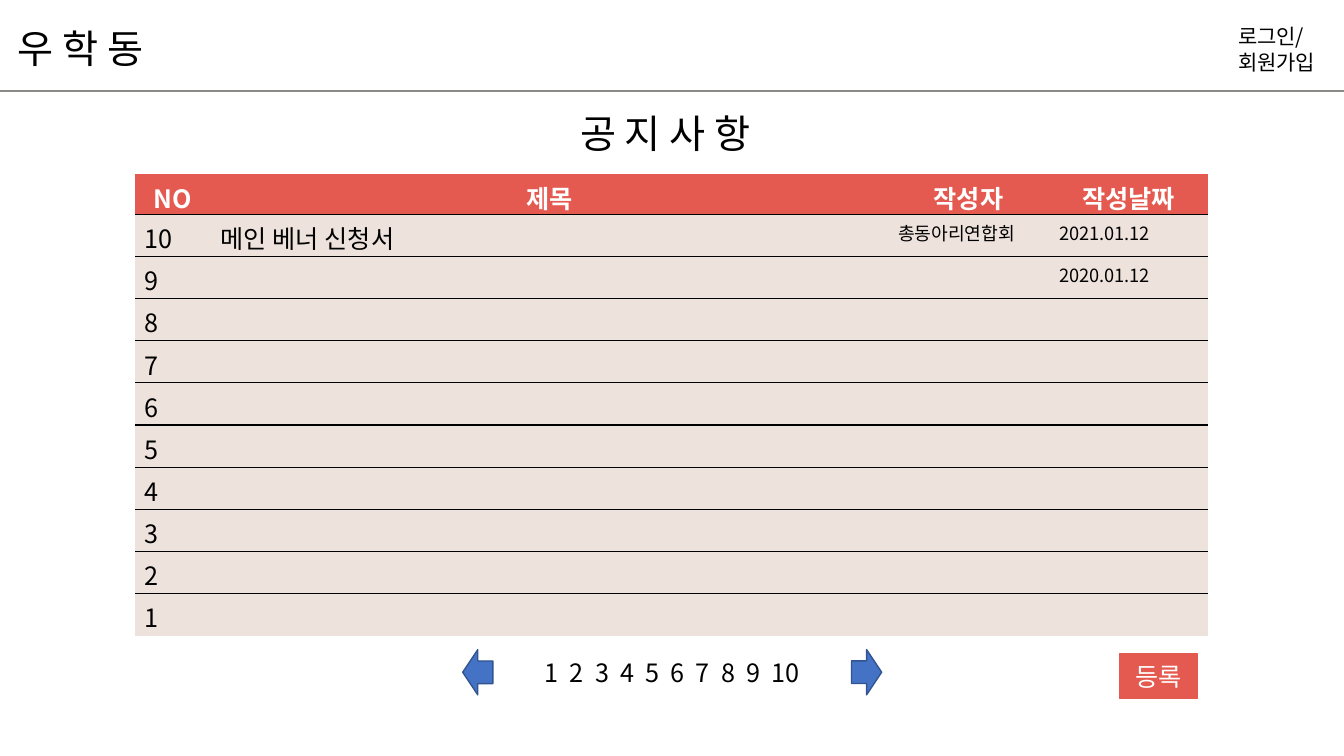
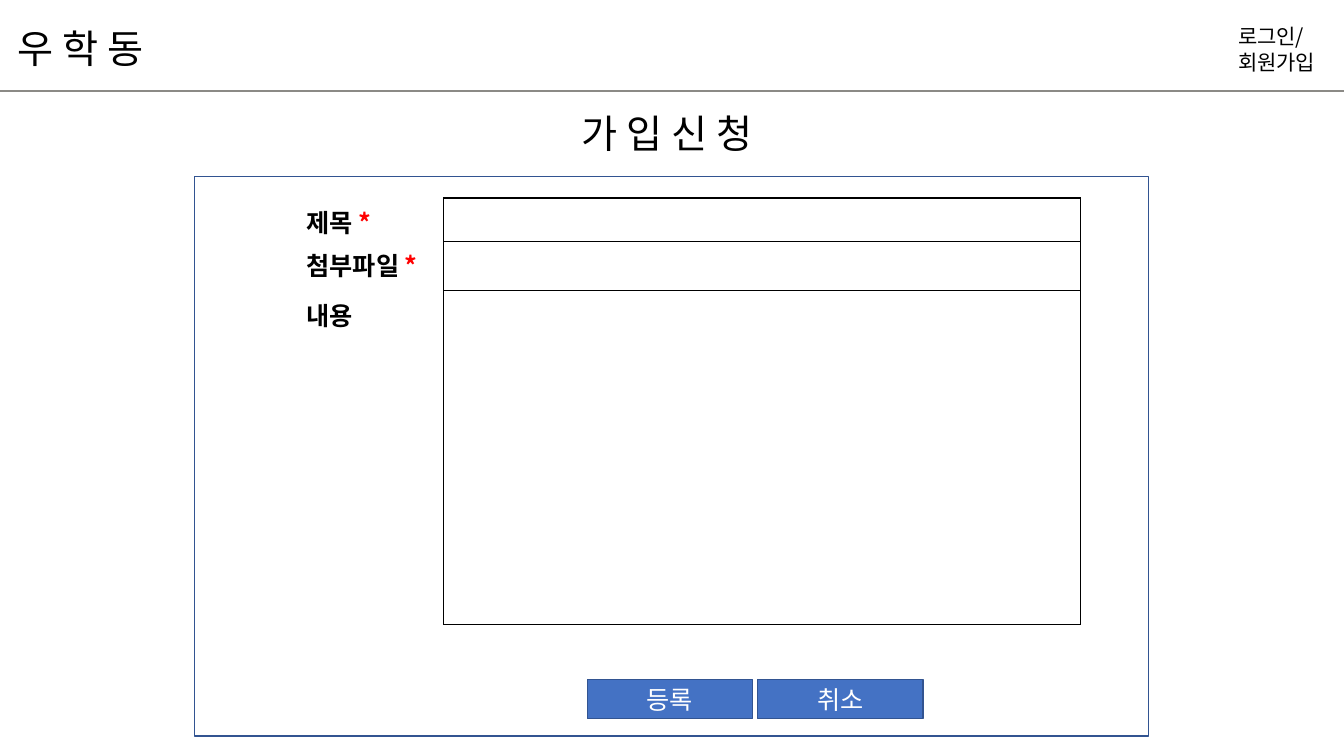
from dataclasses import dataclass

from lxml import etree
from pptx import Presentation
from pptx.dml.color import RGBColor
from pptx.enum.shapes import MSO_CONNECTOR, MSO_SHAPE
from pptx.enum.text import MSO_ANCHOR, MSO_AUTO_SIZE, PP_ALIGN
from pptx.oxml.ns import qn
from pptx.util import Cm, Pt

STRAIGHT = MSO_CONNECTOR.STRAIGHT
RECTANGLE = MSO_SHAPE.RECTANGLE
RIGHT_ARROW = MSO_SHAPE.RIGHT_ARROW
MIDDLE = MSO_ANCHOR.MIDDLE
TOP = MSO_ANCHOR.TOP
GROW = MSO_AUTO_SIZE.SHAPE_TO_FIT_TEXT
FIXED = MSO_AUTO_SIZE.NONE
LEFT = PP_ALIGN.LEFT
CENTER = PP_ALIGN.CENTER
PLAIN_TABLE = "{2D5ABB26-0587-4C30-8999-92F81FD0307C}"


@dataclass(frozen=True)
class Theme:
    font: str = "Noto Sans CJK KR"
    black: str = "000000"
    white: str = "FFFFFF"
    required: str = "FF0000"
    rule: str = "8B8A86"
    coral: str = "E55A50"
    sand: str = "EEE2DC"
    blue: str = "4472C4"
    navy: str = "325491"
    heading: float = 28
    body: float = 18
    login: float = 15
    small: float = 13
    thin: float = 1
    thick: float = 1.5


@dataclass(frozen=True)
class Box:
    left: float
    top: float
    width: float
    height: float

    def inner(self, left, top, width, height):
        return Box(self.left + left, self.top + top, width, height)

    def lengths(self):
        return [Cm(value) for value in (self.left, self.top, self.width, self.height)]


THEME = Theme()
PAGE = Box(0, 0, 33.87, 19.05)


def apply_format(target, values):
    for name, value in values.items():
        setattr(target, name, value)


def add_run(paragraph, text, size=THEME.body, color=THEME.black, bold=False):
    run = paragraph.add_run()
    run.text = text
    apply_format(run.font, {"name": THEME.font, "size": Pt(size), "bold": bold})
    run.font.color.rgb = RGBColor.from_string(color)
    properties = run.font._element
    etree.SubElement(properties, qn("a:ea"), typeface=THEME.font)
    return run


def add_text(slide, box, lines, size, **frame_format):
    frame = slide.shapes.add_textbox(*box.lengths()).text_frame
    apply_format(frame, {"word_wrap": True, "auto_size": GROW,
                         "vertical_anchor": TOP, **frame_format})
    for index, line in enumerate(lines):
        paragraph = frame.add_paragraph() if index else frame.paragraphs[0]
        add_run(paragraph, line, size)
    return frame


def add_block(slide, kind, box, fill, line):
    shape = slide.shapes.add_shape(kind, *box.lengths())
    shape.shadow.inherit = False
    if fill:
        shape.fill.solid()
        shape.fill.fore_color.rgb = RGBColor.from_string(fill)
    else:
        shape.fill.background()
    shape.line.color.rgb = RGBColor.from_string(line)
    shape.line.width = Pt(THEME.thin)
    return shape


def add_button(slide, box, label, fill, line):
    frame = add_block(slide, RECTANGLE, box, fill, line).text_frame
    frame.vertical_anchor = MIDDLE
    frame.paragraphs[0].alignment = CENTER
    add_run(frame.paragraphs[0], label, color=THEME.white)


def add_plain_table(slide, box, columns, rows):
    table = slide.shapes.add_table(len(rows), len(columns), *box.lengths()).table
    apply_format(table, {"first_row": False, "horz_banding": False})
    table._tbl.tblPr.find(qn("a:tableStyleId")).text = PLAIN_TABLE
    for column, width in zip(table.columns, columns):
        column.width = Cm(width)
    for row, height in zip(table.rows, rows):
        row.height = Cm(height)
    return table


def style_cell(cell, fill, sides):
    properties = cell._tc.get_or_add_tcPr()
    for side in sides:
        line = etree.SubElement(properties, qn(f"a:ln{side}"), w=str(Pt(THEME.thin)))
        solid = etree.SubElement(line, qn("a:solidFill"))
        etree.SubElement(solid, qn("a:srgbClr"), val=THEME.black)
    cell.margin_bottom = 0
    cell.fill.solid()
    cell.fill.fore_color.rgb = RGBColor.from_string(fill)


def add_header(slide, box, title, title_width):
    bottom = Cm(box.top + box.height)
    rule = slide.shapes.add_connector(
        STRAIGHT, Cm(box.left), bottom, Cm(box.left + box.width), bottom)
    rule.line.color.rgb = RGBColor.from_string(THEME.rule)
    rule.line.width = Pt(THEME.thick)
    etree.SubElement(rule._element.spPr, qn("a:effectLst"))
    login_width = 2.92
    add_text(slide, box.inner(box.width - login_width, 0.48, login_width, 1.55),
             ["로그인/", "회원가입"], THEME.login)
    add_text(slide, box.inner(0.2, 0.48, 4.37, 1.45), ["우 학 동"], THEME.heading)
    add_text(slide, box.inner((box.width - title_width) / 2, 2.64, title_width, 1.45),
             [title], THEME.heading)


def add_notice_table(slide, box):
    headings = ["NO", "제목", "작성자", "작성날짜"]
    posts = {10: ["메인 베너 신청서", "총동아리연합회", "2021.01.12"],
             9: ["", "", "2020.01.12"]}
    records = [headings] + [[str(number)] + posts.get(number, [""] * 3)
                            for number in range(10, 0, -1)]
    header_height = 1.02
    row_height = (box.height - header_height) / 10
    table = add_plain_table(slide, box, [1.91, 17.07, 4.06, 4.01],
                            [header_height] + [row_height] * 10)
    for row, record in enumerate(records):
        is_header = row == 0
        sides = ("T" if row else "") + ("B" if row < len(records) - 1 else "")
        for column, text in enumerate(record):
            cell = table.cell(row, column)
            style_cell(cell, THEME.coral if is_header else THEME.sand, sides)
            paragraph = cell.text_frame.paragraphs[0]
            paragraph.alignment = CENTER if is_header else LEFT
            if text:
                add_run(paragraph, text,
                        THEME.body if is_header or column < 2 else THEME.small,
                        THEME.white if is_header else THEME.black, is_header)


def add_pager(slide, box):
    arrow_width, arrow_height, inset = 0.76, 1.14, 0.89
    numbers = add_text(slide, box.inner(inset, 0, box.width - 2 * inset, box.height),
                       [], THEME.body, auto_size=FIXED, vertical_anchor=MIDDLE)
    paragraph = numbers.paragraphs[0]
    paragraph.alignment = CENTER
    for number in range(1, 11):
        if number > 1:
            add_run(paragraph, " ").font._element.set("spc", "400")
        add_run(paragraph, str(number))
    for left, rotation in ((box.width - arrow_width, 0), (0, 180)):
        arrow_box = box.inner(left, (box.height - arrow_height) / 2,
                              arrow_width, arrow_height)
        arrow = add_block(slide, RIGHT_ARROW, arrow_box, THEME.blue, THEME.navy)
        arrow.rotation = rotation


def add_form(slide, box):
    fields = [("제목", True, 1.09), ("첨부파일", True, 1.25), ("내용", False, 8.4)]
    heights = [height for _, _, height in fields]
    table = add_plain_table(slide, box.inner(2.57, 0.54, 19.76, sum(heights)),
                            [3.71, 16.05], heights)
    for row, (label, required, _) in enumerate(fields):
        label_cell = table.cell(row, 0)
        style_cell(label_cell, THEME.white, "R")
        style_cell(table.cell(row, 1), THEME.white, "LRTB")
        paragraph = label_cell.text_frame.paragraphs[0]
        add_run(paragraph, label + (" " if required else ""), bold=True)
        if required:
            add_run(paragraph, "*", color=THEME.required, bold=True)
    add_block(slide, RECTANGLE, box, None, THEME.navy)
    button_width, gap = 4.17, 0.12
    for index, label in enumerate(["등록", "취소"]):
        left = 9.9 + index * (button_width + gap)
        add_button(slide, box.inner(left, 12.67, button_width, 0.99),
                   label, THEME.blue, THEME.navy)


def build_notice_slide(slide, page):
    add_header(slide, page.inner(0, 0, page.width, 2.29), "공 지 사 항", 5.13)
    add_notice_table(slide, page.inner(3.4, 4.38, 27.05, 11.64))
    add_pager(slide, page.inner(11.66, 16.28, 10.56, 1.32))
    add_button(slide, page.inner(28.22, 16.48, 1.96, 1.12),
               "등록", THEME.coral, THEME.coral)


def build_application_slide(slide, page):
    add_header(slide, page.inner(0, 0, page.width, 2.29), "가 입 신 청", 5.05)
    add_form(slide, page.inner(4.9, 4.45, 24.05, 14.1))


def main():
    presentation = Presentation()
    presentation.slide_width = Cm(PAGE.width)
    presentation.slide_height = Cm(PAGE.height)
    for build_slide in (build_notice_slide, build_application_slide):
        build_slide(presentation.slides.add_slide(presentation.slide_layouts[6]), PAGE)
    presentation.save("out.pptx")


if __name__ == "__main__":
    main()
